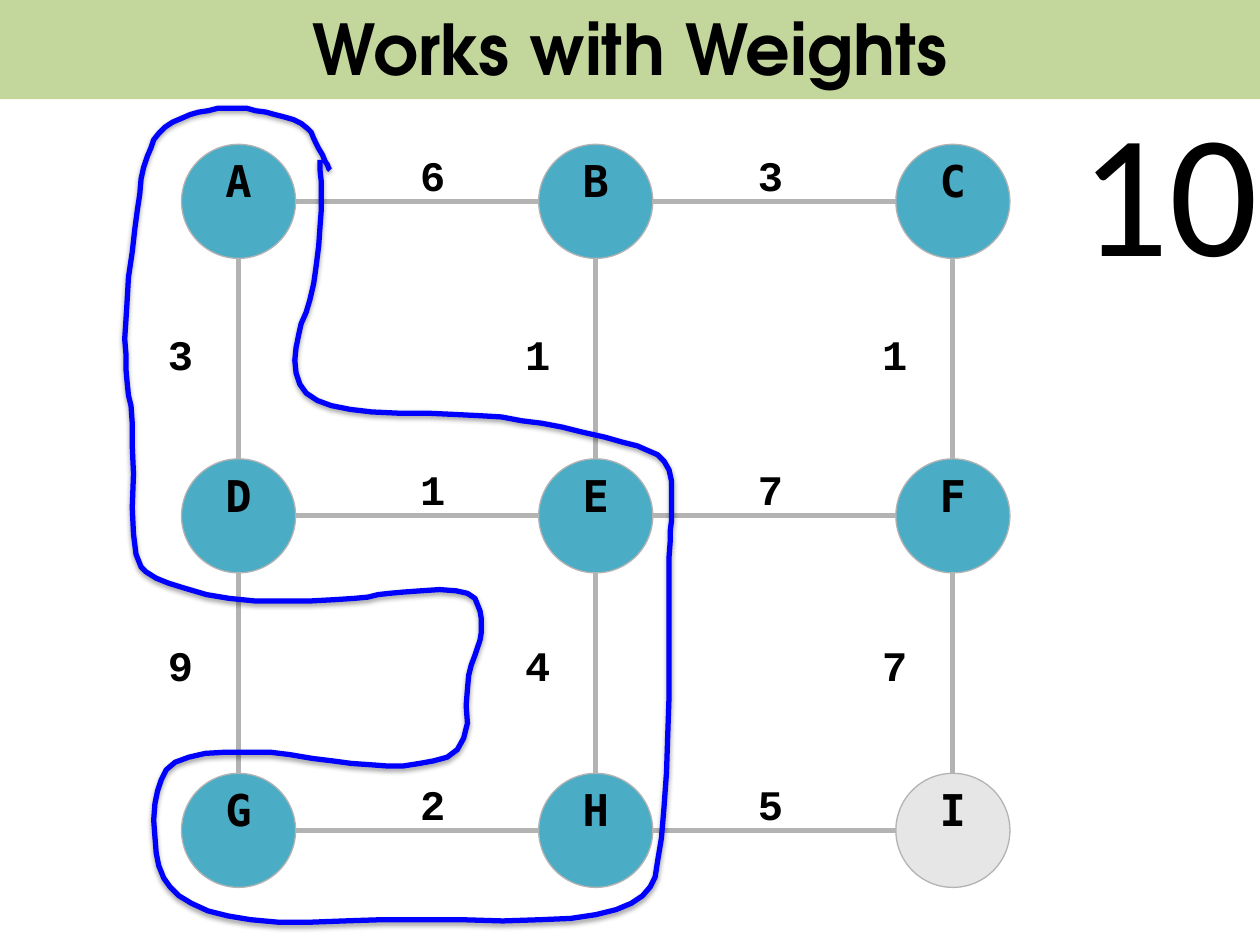
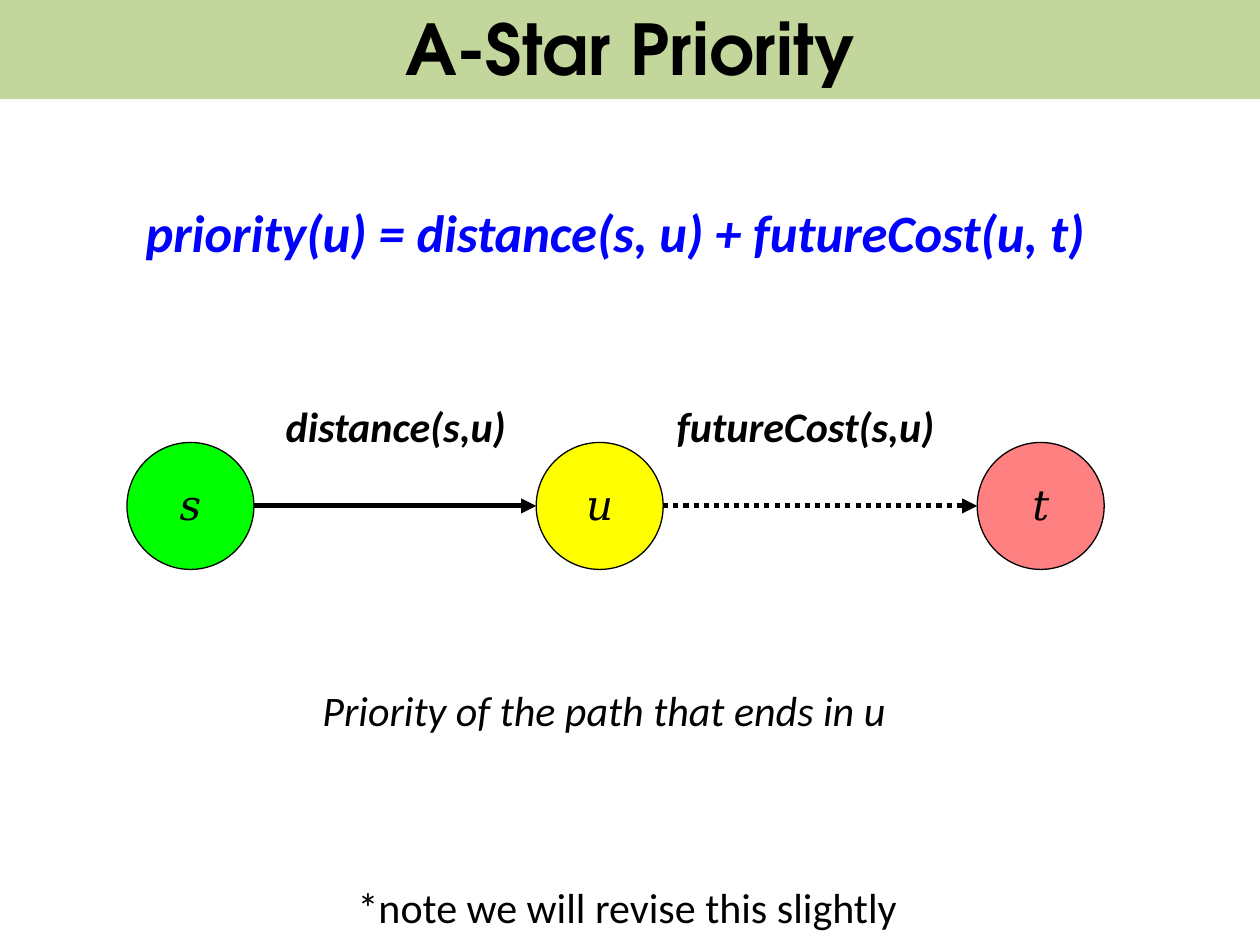
from lxml import etree
from pptx import Presentation, util as u
from pptx.dml.color import RGBColor
from pptx.enum import dml, shapes, text
from pptx.oxml import ns

BAND, NODE, GOAL, GREY = "C3D69B", "4BACC6", "E6E6E6", "B3B3B3"
BLACK, WHITE, BLUE = "000000", "FFFFFF", "0000FF"
LOOP_UNIT = u.Cm(2.54) / 100

# Corners of the loop around the explored nodes, in loop units
LOOP_CORNERS = [
    (262, 135), (252, 116), (244, 99), (215, 89), (184, 85), (154, 89), (127, 102),
    (115, 126), (108, 170), (99, 250), (100, 300), (106, 336), (105, 443),  # A to D
    (123, 461), (188, 478), (282, 476), (310, 470), (373, 467), (383, 488),
    (381, 510), (370, 538), (371, 596), (328, 609), (273, 606), (205, 595),
    (138, 600), (122, 630), (123, 685), (142, 716), (204, 734), (315, 729),  # G
    (450, 732), (512, 716), (524, 684), (532, 570), (530, 440), (534, 410),
    (532, 366), (505, 353), (437, 337), (375, 328), (280, 328), (235, 312),  # E
    (234, 270), (248, 235), (256, 171), (254, 127),
]


def rgb(value):
    return RGBColor.from_string(value)


def rounded(points, rounds=2):
    """Cut every corner at a quarter of its two sides."""
    for _ in range(rounds):
        cut = [points[0]]
        for (x1, y1), (x2, y2) in zip(points, points[1:]):
            cut += [(x1 + (x2 - x1) * part, y1 + (y2 - y1) * part) for part in (0.25, 0.75)]
        points = cut + [points[-1]]
    return points


def write(shape, words, size, font="Calibri", color=BLACK, bold=False, italic=False,
          align=text.PP_ALIGN.CENTER, anchor=text.MSO_ANCHOR.MIDDLE, spacing=None,
          insets=(0.25, 0.13, 0.25, 0.13), wrap=False):
    frame = shape.text_frame
    frame.word_wrap = wrap
    frame.vertical_anchor = anchor
    (frame.margin_left, frame.margin_top,
     frame.margin_right, frame.margin_bottom) = map(u.Cm, insets)
    line = frame.paragraphs[0]
    line.alignment, line.line_spacing = align, spacing
    run = line.add_run()
    run.text = words
    run.font.name, run.font.size = font, u.Pt(size)
    run.font.bold, run.font.italic = bold, italic
    run.font.color.rgb = rgb(color)


def caption(slide, box, words, size=24, **style):
    label = slide.shapes.add_textbox(*map(u.Cm, box))
    style = {"align": text.PP_ALIGN.LEFT, "anchor": text.MSO_ANCHOR.TOP, **style}
    write(label, words, size, **style)


def outlined(slide, kind, box, fill, line=None):
    shape = slide.shapes.add_shape(kind, *map(u.Cm, box))
    shape.shadow.inherit = False
    shape.fill.solid()
    shape.fill.fore_color.rgb = rgb(fill)
    if line:
        shape.line.color.rgb = rgb(line)
        shape.line.width = u.Pt(0.75)
    else:
        shape.line.fill.background()
    return shape


def edge(slide, x1, y1, x2, y2, color, arrow=False, dash=None):
    line = slide.shapes.add_connector(shapes.MSO_CONNECTOR.STRAIGHT,
                                      *map(u.Cm, (x1, y1, x2, y2)))
    line.line.color.rgb = rgb(color)
    line.line.width = u.Pt(2.89)
    if dash:
        line.line.dash_style = dash
    if arrow:
        etree.SubElement(line.line._get_or_add_ln(), ns.qn("a:tailEnd"), type="triangle")
    etree.SubElement(line._element.spPr, ns.qn("a:effectLst"))


def titled_slide(deck, title):
    slide = deck.slides.add_slide(deck.slide_layouts[6])
    band = outlined(slide, shapes.MSO_SHAPE.RECTANGLE, (0, -0.08, 25.4, 2.08), BAND)
    write(band, title, 40, font="TeX Gyre Adventor", bold=True, wrap=True)
    return slide


def weighted_graph(slide, left, top):
    pitch_x, pitch_y, radius = 7.2, 6.34, 1.15
    xs = [left + radius + i * pitch_x for i in range(3)]
    ys = [top + radius + i * pitch_y for i in range(3)]

    # Nodes
    for i, letter in enumerate("ABCDEFGHI"):
        box = (xs[i % 3] - radius, ys[i // 3] - radius, 2 * radius, 2 * radius)
        node = outlined(slide, shapes.MSO_SHAPE.OVAL, box,
                        GOAL if letter == "I" else NODE, GREY)
        write(node, letter, 25, font="DejaVu Sans Mono", bold=True, spacing=0.83,
              anchor=text.MSO_ANCHOR.TOP, insets=(0.23, 0.04, 0.23, 0.1))

    weight_style = dict(font="Courier New", bold=True, spacing=0.94,
                        align=text.PP_ALIGN.CENTER, anchor=text.MSO_ANCHOR.MIDDLE,
                        insets=(0.23, 0.15, 0.23, 0.1))
    # Horizontal edges and their weights
    for y, weights in zip(ys, ("63", "17", "25")):
        for i, weight in enumerate(weights):
            caption(slide, (left + 3.63 + i * 6.81, y - 1.09, 2.87, 1.14),
                    weight, **weight_style)
            edge(slide, xs[i] + radius, y, xs[i + 1] - radius, y, GREY)

    # Vertical edges and their weights
    for x, weights in zip(xs, ("39", "14", "17")):
        for i, weight in enumerate(weights):
            caption(slide, (x - 1.74, top + 3.39 + i * 6.27, 1.14, 1.73),
                    weight, **weight_style)
            edge(slide, x, ys[i] + radius, x, ys[i + 1] - radius, GREY)


def explored_loop(slide, left, top):
    start, *rest = rounded(LOOP_CORNERS)
    pen = slide.shapes.build_freeform(*start, scale=LOOP_UNIT)
    pen.add_line_segments(rest, close=False)
    loop = pen.convert_to_shape(u.Cm(left), u.Cm(top))
    loop.fill.background()
    loop.line.color.rgb = rgb(BLUE)
    loop.line.width = u.Pt(3)
    # Soft shadow below the outline
    loop.shadow.inherit = False
    effects = loop._element.spPr.find(ns.qn("a:effectLst"))
    shade = etree.SubElement(effects, ns.qn("a:outerShdw"), blurRad=str(u.Pt(3.1)),
                             dist=str(u.Pt(1.6)), dir="5400000", rotWithShape="0")
    tone = etree.SubElement(shade, ns.qn("a:srgbClr"), val=BLACK)
    etree.SubElement(tone, ns.qn("a:alpha"), val="38000")


def path_diagram(slide, left, top):
    size = 2.56
    stops = [("s", left, "00FF00"), ("u", left + 8.25, "FFFF00"),
             ("t", left + 17.14, "FF8080")]
    for name, x, fill in stops:
        stop = outlined(slide, shapes.MSO_SHAPE.OVAL, (x, top, size, size), fill, BLACK)
        write(stop, name, 24, font="DejaVu Serif", italic=True, spacing=0.98)

    # Arrows between neighbouring stops
    dashes = (None, dml.MSO_LINE.ROUND_DOT)
    for (_, x, _), (_, next_x, _), dash in zip(stops, stops[1:], dashes):
        edge(slide, x + size, top + size / 2, next_x, top + size / 2, BLACK,
             arrow=True, dash=dash)

    # Cost names
    for x, width, cost in ((2.95, 5.26, "distance(s,u)"), (10.83, 6.05, "futureCost(s,u)")):
        caption(slide, (left + x, top - 0.97, width, 1.27), cost, bold=True, italic=True)


def main():
    deck = Presentation()
    deck.slide_width, deck.slide_height = u.Cm(25.4), u.Cm(19.05)

    weights = titled_slide(deck, "Works with Weights")
    caption(weights, (21.54, 1.52, 4.11, 4.52), "10", 100)
    weighted_graph(weights, 3.66, 2.91)
    explored_loop(weights, 0, 0)

    priority = titled_slide(deck, "A-Star Priority")
    caption(priority, (2.43, 3.91, 19.96, 1.55),
            "priority(u) = distance(s, u) + futureCost(u, t)", 30, color=BLUE,
            bold=True, italic=True, align=text.PP_ALIGN.CENTER)
    path_diagram(priority, 2.56, 8.92)
    caption(priority, (6.25, 13.67, 12.22, 1.27), "Priority of the path that ends in u",
            italic=True)
    caption(priority, (6.96, 17.65, 11.53, 1.27), "*note we will revise this slightly")

    deck.save("out.pptx")


if __name__ == "__main__":
    main()
